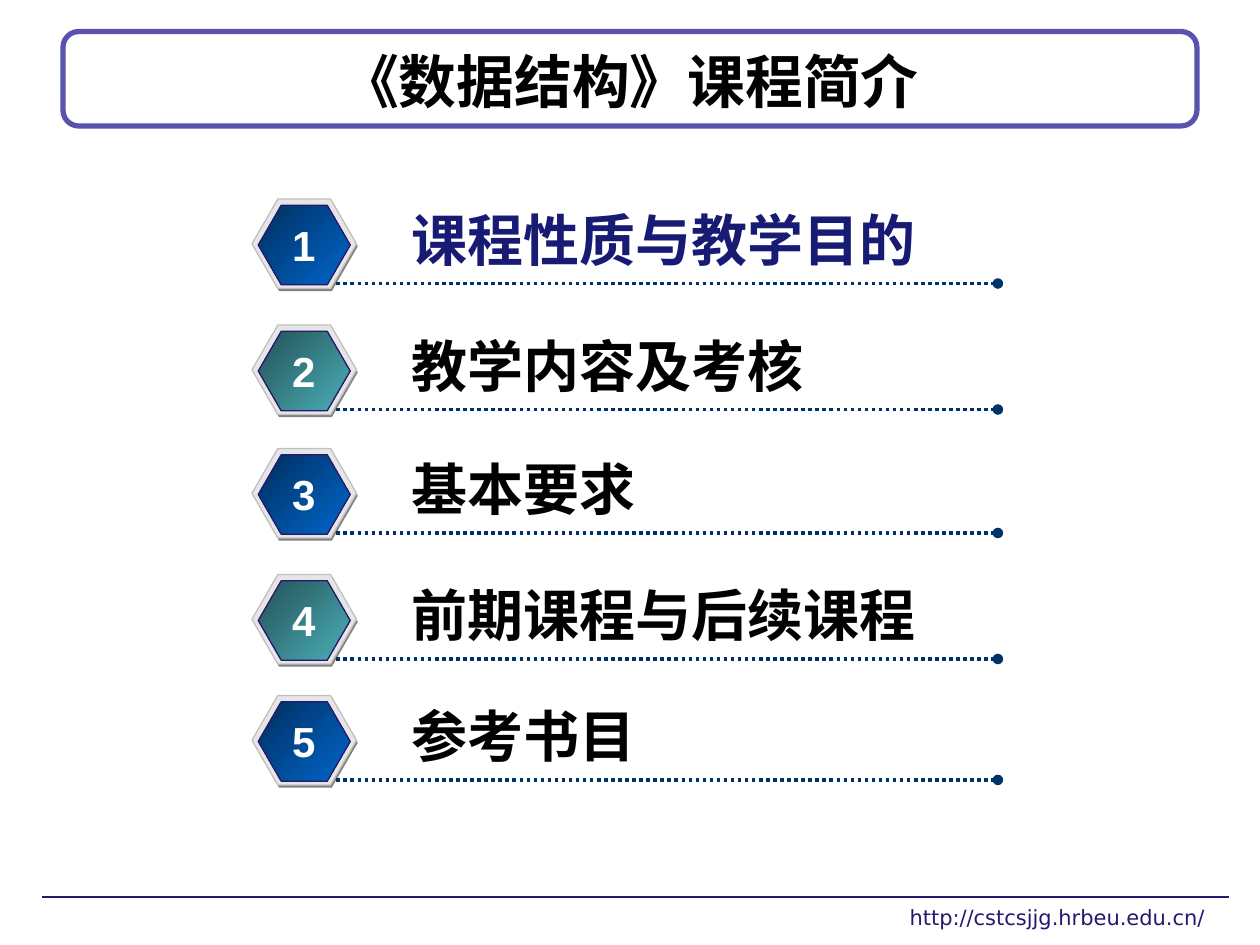
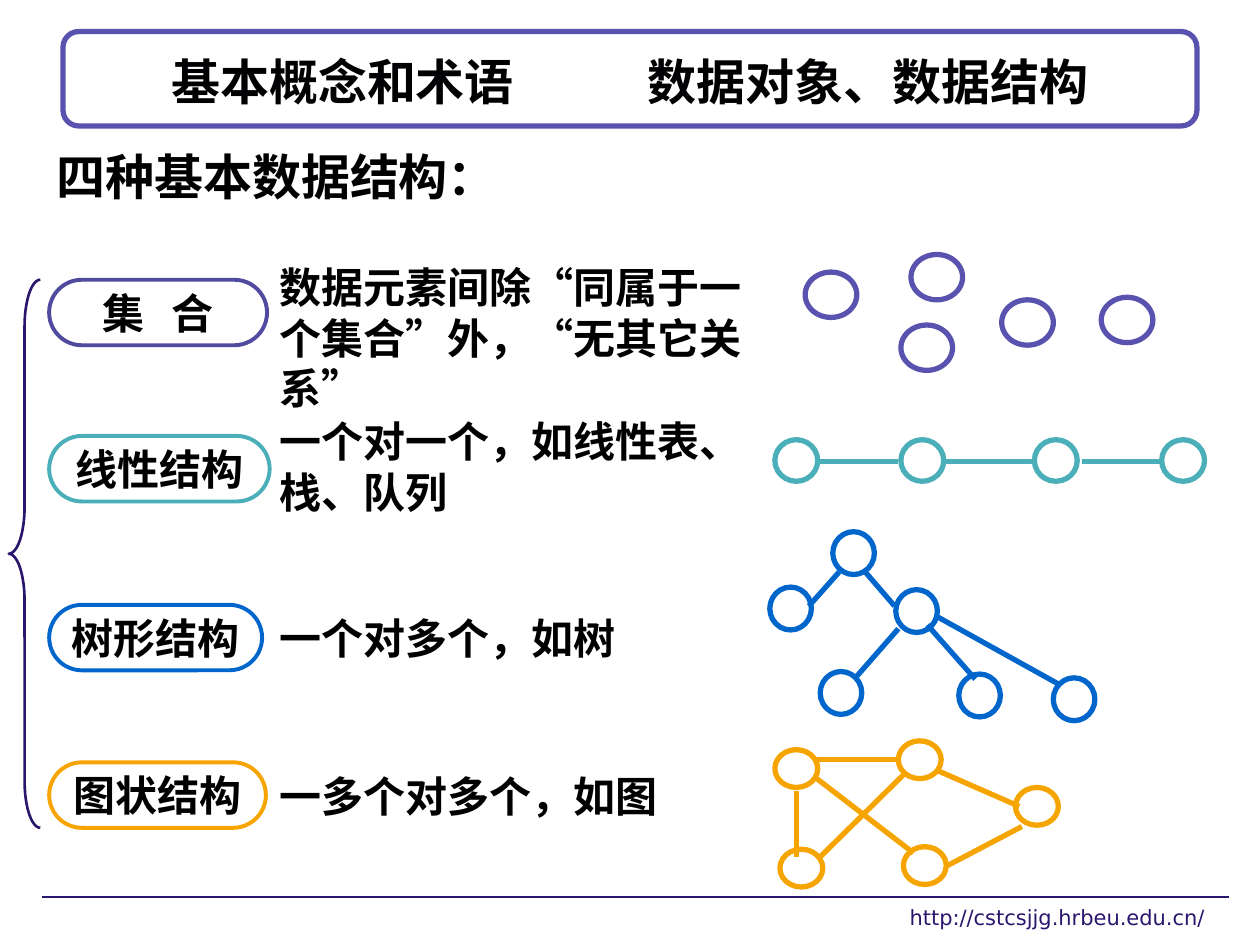
from dataclasses import dataclass

from lxml import etree
from pptx import Presentation
from pptx.dml.color import RGBColor
from pptx.enum.dml import MSO_LINE
from pptx.enum.shapes import MSO_CONNECTOR, MSO_SHAPE
from pptx.enum.text import MSO_ANCHOR, MSO_AUTO_SIZE, PP_ALIGN
from pptx.oxml.ns import qn
from pptx.util import Emu, Pt

ROUND_RECT = MSO_SHAPE.ROUNDED_RECTANGLE
HEXAGON = MSO_SHAPE.HEXAGON
OVAL = MSO_SHAPE.OVAL
LEFT_BRACE = MSO_SHAPE.LEFT_BRACE
STRAIGHT = MSO_CONNECTOR.STRAIGHT
DOTTED = MSO_LINE.ROUND_DOT
LEFT, CENTER = PP_ALIGN.LEFT, PP_ALIGN.CENTER
MIDDLE = MSO_ANCHOR.MIDDLE
NO_FIT = MSO_AUTO_SIZE.NONE

PX = 9144
WHITE, BLACK, INK = "FFFFFF", "000000", "010103"
NAVY, HIGHLIGHT, DOT_BLUE = "2B166E", "171B73", "003366"
VIOLET, PURPLE, TEAL, BLUE, ORANGE = "5952AE", "514B9F", "4BAFB9", "0066CC", "F6A400"
SHADE, RIM, RIM_LINE = "808080", "E6E6E6", "C0C0C0"
BADGE_BLUE, BADGE_TEAL = ("002F5E", BLUE), ("235156", TEAL)
CJK = "Noto Sans CJK SC"
URL = "http://cstcsjjg.hrbeu.edu.cn/"


@dataclass
class Style:
    size: int
    color: str = BLACK
    font: str = "Arial"
    bold: bool = True
    align: PP_ALIGN = LEFT
    spacing: int = 0


@dataclass
class AgendaItem:
    top: int
    text: str
    color: str = INK


@dataclass
class Structure:
    name: str
    pill_top: int
    pill_width: int
    pill_color: str
    text: str
    text_top: int
    text_height: int
    color: str
    node_size: tuple[int, int]
    nodes: list[tuple[int, int]]
    edges: list[tuple[int, int, int, int]]
    spacing: int = 0


AGENDA = [
    AgendaItem(158, "课程性质与教学目的", HIGHLIGHT),
    AgendaItem(258, "教学内容及考核"),
    AgendaItem(356, "基本要求"),
    AgendaItem(456, "前期课程与后续课程"),
    AgendaItem(552, "参考书目"),
]

STRUCTURES = [
    Structure(
        "集 合", 222, 173, PURPLE, "数据元素间除“同属于一个集合”外，“无其它关系”", 203, 130,
        VIOLET, (41, 36),
        [(639, 216), (723, 202), (715, 258), (795, 238), (874, 236)], [],
        spacing=500),
    Structure(
        "线性结构", 346, 175, TEAL, "一个对一个，如线性表、栈、队列", 325, 90,
        TEAL, (34, 33),
        [(615, 349), (715, 349), (821, 349), (922, 349)],
        [(650, 366, 713, 366), (748, 366, 822, 366), (859, 366, 921, 366)]),
    Structure(
        "树形结构", 480, 169, BLUE, "一个对多个，如树", 481, 50,
        BLUE, (33, 34),
        [(661, 422), (611, 466), (711, 468), (651, 533), (761, 535), (836, 538)],
        [(666, 454, 642, 481), (713, 499, 678, 539), (685, 452, 710, 481),
         (736, 496, 774, 539), (743, 489, 842, 544)]),
    Structure(
        "图状结构", 605, 172, ORANGE, "一多个对多个，如图", 607, 50,
        ORANGE, (34, 30),
        [(713, 588), (619, 674), (717, 672), (806, 625), (615, 595)],
        [(632, 628, 632, 680), (647, 617, 725, 677), (745, 612, 809, 640),
         (718, 614, 649, 682), (811, 656, 752, 687), (647, 603, 714, 603)]),
]


def px(n: int) -> Emu:
    return Emu(n * PX)


def rgb(color: str) -> RGBColor:
    return RGBColor.from_string(color)


def write(sp, text: str, style: Style) -> None:
    p = sp.text_frame.paragraphs[0]
    p.text = text
    p.alignment = style.align
    for r in p.runs:
        r.font.size = Pt(style.size)
        r.font.bold = style.bold
        r.font.name = style.font
        r.font.color.rgb = rgb(style.color)
        rPr = r.font._element
        etree.SubElement(rPr, qn("a:ea")).set("typeface", CJK)
        if style.spacing:
            rPr.set("spc", str(style.spacing))


def add_text(s, box: tuple[int, int, int, int], text: str, style: Style, wrap: bool = True):
    sp = s.shapes.add_textbox(*map(px, box))
    sp.text_frame.word_wrap = wrap
    write(sp, text, style)
    return sp


def add_shape(s, kind, box: tuple[int, int, int, int], fill: str | tuple[str, str] | None = None,
              line: str | None = None, width: float = 0.75, adj: tuple[float, ...] = ()):
    sp = s.shapes.add_shape(kind, *map(px, box))
    sp.shadow.inherit = False
    for i, value in enumerate(adj):
        sp.adjustments[i] = value
    if fill is None:
        sp.fill.background()
    elif isinstance(fill, tuple):
        sp.fill.gradient()
        sp.fill.gradient_angle = 315
        for stop, color in zip(sp.fill.gradient_stops, fill):
            stop.color.rgb = rgb(color)
    else:
        sp.fill.solid()
        sp.fill.fore_color.rgb = rgb(fill)
    if line is None:
        sp.line.fill.background()
    else:
        sp.line.color.rgb = rgb(line)
        sp.line.width = Pt(width)
    return sp


def add_line(s, ends: tuple[int, int, int, int], color: str, width: float, dotted: bool = False):
    sp = s.shapes.add_connector(STRAIGHT, *map(px, ends))
    sp.line.color.rgb = rgb(color)
    sp.line.width = Pt(width)
    if dotted:
        sp.line.dash_style = DOTTED
        etree.SubElement(sp.line._ln, qn("a:tailEnd")).set("type", "oval")
    etree.SubElement(sp._element.spPr, qn("a:effectLst"))
    return sp


def move_frame_to_layout(s) -> None:
    frame = add_shape(s, ROUND_RECT, (50, 25, 900, 75), WHITE, VIOLET, 3, (0.167,))
    rule = add_line(s, (33, 712, 975, 712), NAVY, 0.75)
    tree = s.slide_layout.shapes._spTree
    for i, sp in enumerate((frame, rule)):
        tree.insert(2 + i, sp._element)


def add_slide(prs, title: str, style: Style):
    s = prs.slides.add_slide(prs.slide_layouts[5])
    sp = s.shapes.title
    sp.left, sp.top, sp.width, sp.height = map(px, (50, 33, 900, 62))
    sp.text_frame.auto_size = NO_FIT
    sp.text_frame.vertical_anchor = MIDDLE
    write(sp, title, style)
    add_text(s, (712, 713, 288, 37), URL, Style(12, NAVY, "DejaVu Sans", False))
    return s


def set_title_columns(sp, first: int, second: int) -> None:
    sp.text_frame.margin_left = px(first) - sp.left
    pPr = sp.text_frame.paragraphs[0]._p.get_or_add_pPr()
    tabs = etree.SubElement(pPr, qn("a:tabLst"))
    etree.SubElement(tabs, qn("a:tab"), pos=str(px(second - first)), algn="l")


def add_agenda_item(s, number: int, item: AgendaItem) -> None:
    top = item.top
    adj = (0.289, 1.155)
    badge = BADGE_BLUE if number % 2 else BADGE_TEAL
    add_shape(s, HEXAGON, (201, top + 2, 83, 71), SHADE, adj=adj)
    add_shape(s, HEXAGON, (200, top, 83, 71), RIM, RIM_LINE, adj=adj)
    add_shape(s, HEXAGON, (205, top + 5, 73, 63), badge, NAVY, adj=adj)
    add_line(s, (267, top + 67, 792, top + 67), DOT_BLUE, 2, dotted=True)
    add_text(s, (317, top, 500, 64), item.text, Style(32, item.color))
    add_text(s, (222, top + 11, 38, 50), str(number), Style(24, WHITE, align=CENTER), wrap=False)


def add_structure(s, st: Structure) -> None:
    pill = add_shape(s, ROUND_RECT, (39, st.pill_top, st.pill_width, 52), WHITE,
                     st.pill_color, 2.25, (0.5,))
    pill.text_frame.word_wrap = False
    pill.text_frame.vertical_anchor = MIDDLE
    write(pill, st.name, Style(24, font=CJK, align=CENTER, spacing=st.spacing))
    add_text(s, (212, st.text_top, 418, st.text_height), st.text, Style(24))
    for node in st.nodes:
        add_shape(s, OVAL, (*node, *st.node_size), line=st.color, width=3)
    for edge in st.edges:
        add_line(s, edge, st.color, 3)


def main() -> None:
    prs = Presentation()
    prs.slide_width, prs.slide_height = px(1000), px(750)

    s = add_slide(prs, "《数据结构》课程简介", Style(33, INK, "Times New Roman", align=CENTER))
    move_frame_to_layout(s)
    for number, item in enumerate(AGENDA, 1):
        add_agenda_item(s, number, item)

    s = add_slide(prs, "基本概念和术语\t数据对象、数据结构", Style(28, INK, CJK))
    set_title_columns(s.shapes.title, 136, 514)
    add_text(s, (35, 111, 686, 57), "四种基本数据结构：", Style(28))
    for st in STRUCTURES:
        add_structure(s, st)
    add_shape(s, LEFT_BRACE, (7, 222, 25, 435), line=NAVY, width=1.5, adj=(1.48, 0.5))

    prs.save("out.pptx")


if __name__ == "__main__":
    main()
